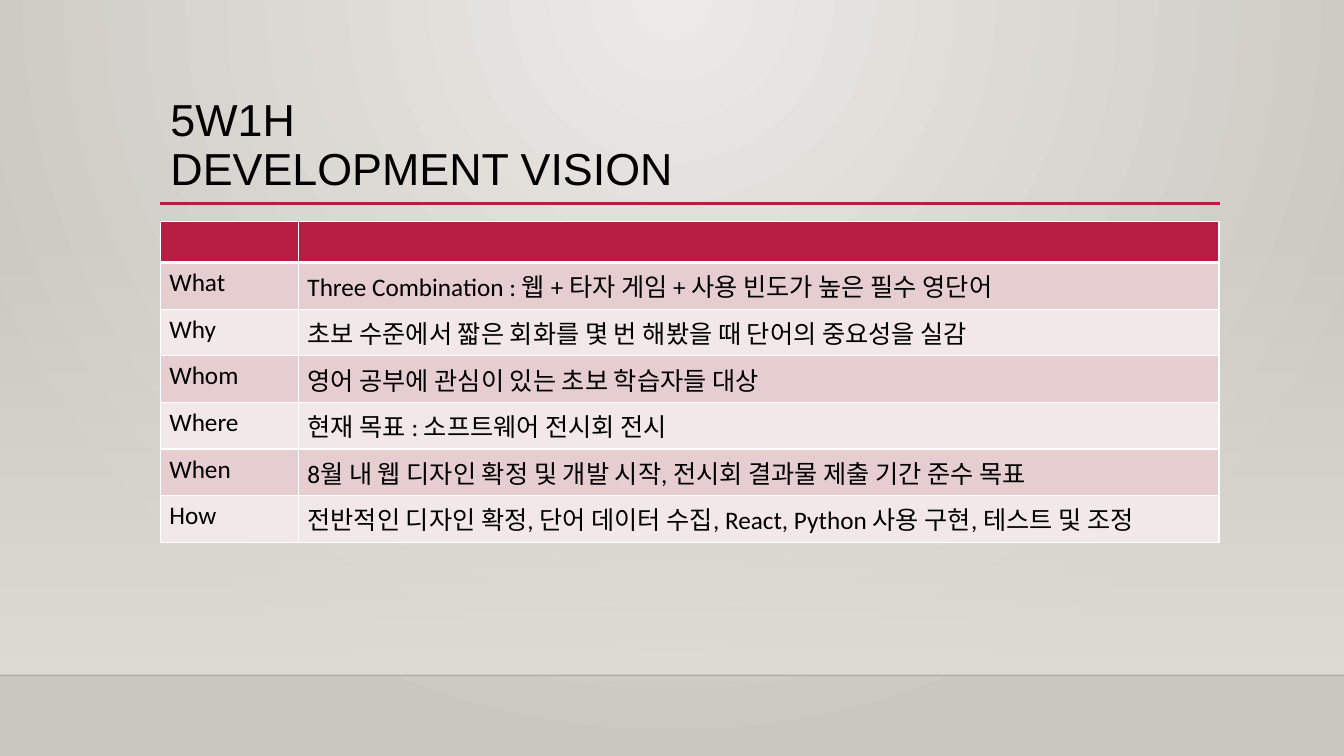
from lxml.etree import SubElement
from pptx import Presentation
from pptx.dml.color import RGBColor
from pptx.enum.shapes import MSO_CONNECTOR, MSO_SHAPE
from pptx.enum.text import MSO_ANCHOR, PP_ALIGN
from pptx.oxml import parse_xml
from pptx.oxml.ns import nsdecls, qn
from pptx.util import Inches, Pt

TITLE = "5W1H \vDEVELOPMENT VISION"
VISION = [
    ("", ""),
    ("What", "Three Combination : 웹 + 타자 게임 + 사용 빈도가 높은 필수 영단어"),
    ("Why", "초보 수준에서 짧은 회화를 몇 번 해봤을 때 단어의 중요성을 실감"),
    ("Whom", "영어 공부에 관심이 있는 초보 학습자들 대상"),
    ("Where", "현재 목표 : 소프트웨어 전시회 전시"),
    ("When", "8월 내 웹 디자인 확정 및 개발 시작, 전시회 결과물 제출 기간 준수 목표"),
    ("How", "전반적인 디자인 확정, 단어 데이터 수집, React, Python 사용 구현, 테스트 및 조정"),
]
COLUMN_WIDTHS = (1.37, 9.13)
TABLE_HEIGHT = 2.84
LEFT, WIDTH = 1.59, 10.5
SLIDE_WIDTH, FLOOR_TOP = 13.33, 6.7

BLACK = RGBColor(0, 0, 0)
FLOOR_EDGE = RGBColor(0, 0, 1)
CRIMSON = RGBColor(0xB7, 0x1E, 0x42)
ROSE = RGBColor(0xE6, 0xCD, 0xCF)
PALE_ROSE = RGBColor(0xF3, 0xE8, 0xE9)
GLOW = RGBColor(0xEC, 0xEA, 0xE7)
STONE = RGBColor(0xCA, 0xC7, 0xC1)
WALL = RGBColor(0xDF, 0xDB, 0xD5)


def set_gradient(fill, *colors):
    fill.gradient()
    for stop, color, position in zip(fill.gradient_stops, colors, (0, 1)):
        stop.color.rgb = color
        stop.position = position


def set_alpha(element, percent):
    color = next(element.iter(qn("a:srgbClr")))
    SubElement(color, qn("a:alpha"), val=str(percent * 1000))


def add_rule(left, right, y, color, width):
    rule = slide.shapes.add_connector(
        MSO_CONNECTOR.STRAIGHT, Inches(left), Inches(y), Inches(right), Inches(y))
    rule.line.color.rgb = color
    rule.line.width = Pt(width)
    SubElement(rule._element.spPr, qn("a:effectLst"))
    return rule


def set_borders(cell, bottom_width):
    widths = {"lnL": 1, "lnR": 1, "lnT": 1, "lnB": bottom_width}
    for index, (side, width) in enumerate(widths.items()):
        border = parse_xml(
            f'<a:{side} {nsdecls("a")} w="{Pt(width)}"><a:solidFill>'
            f'<a:srgbClr val="FFFFFF"/></a:solidFill></a:{side}>')
        cell._tc.get_or_add_tcPr().insert(index, border)


deck = Presentation()
deck.slide_width, deck.slide_height = Inches(SLIDE_WIDTH), Inches(7.5)
slide = deck.slides.add_slide(deck.slide_layouts[5])

set_gradient(slide.background.fill, GLOW, STONE)
backdrop = next(slide._element.iter(qn("a:gradFill")))
backdrop.remove(backdrop.find(qn("a:lin")))
radial = SubElement(backdrop, qn("a:path"), path="circle")
SubElement(radial, qn("a:fillToRect"), l="43000", t="0", r="43000", b="100000")

wall = slide.shapes.add_shape(
    MSO_SHAPE.RECTANGLE, 0, Inches(2.21), Inches(SLIDE_WIDTH), Inches(FLOOR_TOP - 2.21))
wall.shadow.inherit = False
wall.line.fill.background()
set_gradient(wall.fill, WALL, WALL)
wall.fill.gradient_angle = 270
set_alpha(wall._element.spPr, 0)

floor_edge = add_rule(0, SLIDE_WIDTH, FLOOR_TOP, FLOOR_EDGE, 1)
set_alpha(floor_edge._element.spPr, 20)
add_rule(LEFT, 12.1, 2.02, CRIMSON, 2.5)

title = slide.shapes.title
title.left, title.top = Inches(LEFT), Inches(0.88)
title.width, title.height = Inches(WIDTH), Inches(1.15)
title.text_frame.text = TITLE
title.text_frame.vertical_anchor = MSO_ANCHOR.MIDDLE
heading = title.text_frame.paragraphs[0]
heading.alignment = PP_ALIGN.LEFT
heading.line_spacing = 0.9
heading.font.name, heading.font.size = "Arial", Pt(32)
heading.font.color.rgb = BLACK

vision = slide.shapes.add_table(
    len(VISION), len(COLUMN_WIDTHS), Inches(LEFT), Inches(2.2),
    Inches(WIDTH), Inches(TABLE_HEIGHT)).table
for column, width in zip(vision.columns, COLUMN_WIDTHS):
    column.width = Inches(width)
for row_number, entries in enumerate(VISION):
    is_header = row_number == 0
    row_color = CRIMSON if is_header else ROSE if row_number % 2 else PALE_ROSE
    for cell, entry in zip(vision.rows[row_number].cells, entries):
        cell.text = entry
        cell.margin_left = cell.margin_right = Inches(0.09)
        cell.margin_top = cell.margin_bottom = Inches(0.05)
        cell.fill.solid()
        cell.fill.fore_color.rgb = row_color
        set_borders(cell, 3 if is_header else 1)
        paragraph = cell.text_frame.paragraphs[0]
        paragraph.font.name, paragraph.font.size = "Calibri", Pt(18)
        paragraph.font.color.rgb = BLACK

deck.save("out.pptx")
